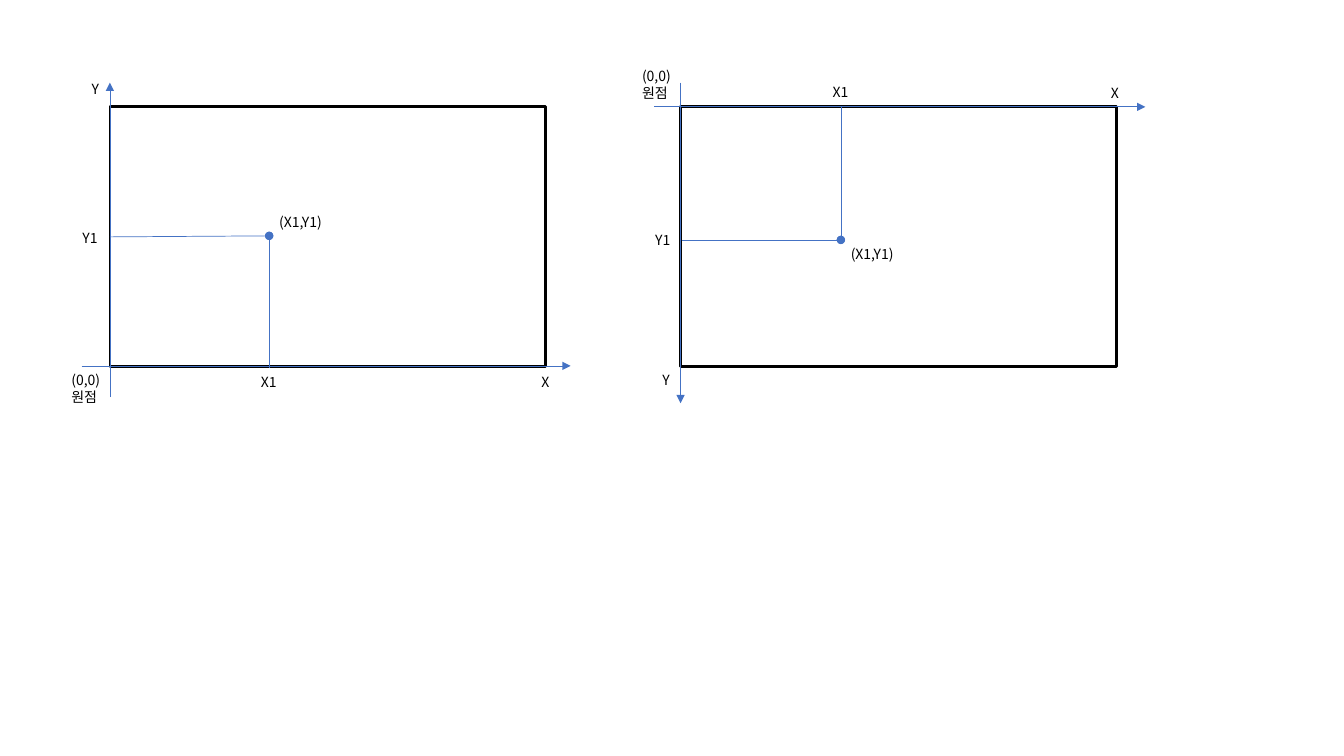
from dataclasses import dataclass

from pptx import Presentation
from pptx.dml.color import RGBColor
from pptx.enum import shapes, text
from pptx.oxml import ns, xmlchemy
from pptx.util import Inches, Pt

BLACK = RGBColor(0x00, 0x00, 0x00)
BLUE = RGBColor(0x44, 0x72, 0xC4)
FONT = "Noto Sans CJK KR"
FRAME_TOP, FRAME_WIDTH, FRAME_HEIGHT = 1.06, 4.32, 2.58
LABEL_HEIGHT = 0.27


@dataclass
class Line:
    x1: float
    y1: float
    x2: float
    y2: float
    tail: str = "triangle"
    from_frame: bool = False


@dataclass
class Label:
    lines: list[str]
    x: float
    y: float
    width: float
    height: float = LABEL_HEIGHT


@dataclass
class Diagram:
    left: float
    lines: list[Line]
    labels: list[Label]


ORIGIN = ["(0,0)", "원점"]

DIAGRAMS = [
    Diagram(
        1.09,
        [
            Line(0.81, 3.63, 5.66, 3.63),
            Line(1.09, 3.94, 1.09, 0.82),
            Line(2.67, 3.65, 2.67, 2.34, "oval"),
            Line(1.09, 2.35, 2.67, 2.34, "oval", True),
        ],
        [
            Label(["Y"], 0.81, 0.75, 0.28),
            Label(["X"], 5.27, 3.66, 0.29),
            Label(ORIGIN, 0.61, 3.64, 0.5, 0.44),
            Label(["(X1,Y1)"], 2.67, 2.07, 0.63),
            Label(["Y1"], 0.72, 2.23, 0.36),
            Label(["X1"], 2.49, 3.66, 0.36),
        ],
    ),
    Diagram(
        6.75,
        [
            Line(6.75, 0.82, 6.75, 4.0),
            Line(6.49, 1.06, 11.36, 1.06),
            Line(8.34, 2.38, 8.34, 1.05, ""),
            Line(6.76, 2.38, 8.34, 2.38, "oval"),
        ],
        [
            Label(ORIGIN, 6.27, 0.62, 0.5, 0.44),
            Label(["X"], 10.92, 0.79, 0.29),
            Label(["Y"], 6.47, 3.64, 0.28),
            Label(["(X1,Y1)"], 8.34, 2.39, 0.63),
            Label(["Y1"], 6.4, 2.25, 0.36),
            Label(["X1"], 8.16, 0.78, 0.36),
        ],
    ),
]


def add_frame(s, left: float):
    sp = s.shapes.add_shape(
        shapes.MSO_SHAPE.RECTANGLE,
        Inches(left), Inches(FRAME_TOP), Inches(FRAME_WIDTH), Inches(FRAME_HEIGHT),
    )
    sp.shadow.inherit = False
    sp.fill.background()
    sp.line.color.rgb = BLACK
    sp.line.width = Pt(2)
    return sp


def add_line(s, line: Line, frame) -> None:
    cxn = s.shapes.add_connector(
        shapes.MSO_CONNECTOR.STRAIGHT,
        Inches(line.x1), Inches(line.y1), Inches(line.x2), Inches(line.y2),
    )
    if line.from_frame:
        cxn.begin_connect(frame, 1)
    cxn.line.color.rgb = BLUE
    cxn.line.width = Pt(0.5)
    end = xmlchemy.OxmlElement("a:tailEnd" if line.tail else "a:headEnd")
    end.set("type", line.tail or "oval")
    sp_pr = cxn._element.spPr
    sp_pr.find(ns.qn("a:ln")).append(end)
    sp_pr.append(xmlchemy.OxmlElement("a:effectLst"))


def add_label(s, label: Label) -> None:
    sp = s.shapes.add_textbox(
        Inches(label.x), Inches(label.y), Inches(label.width), Inches(label.height)
    )
    tf = sp.text_frame
    tf.word_wrap = False
    tf.auto_size = text.MSO_AUTO_SIZE.SHAPE_TO_FIT_TEXT
    for i, words in enumerate(label.lines):
        p = tf.add_paragraph() if i else tf.paragraphs[0]
        r = p.add_run()
        r.text = words
        r.font.size = Pt(10)
        r.font.name = FONT
        r.font.color.rgb = BLACK
        ea = xmlchemy.OxmlElement("a:ea")
        ea.set("typeface", FONT)
        r.font._element.find(ns.qn("a:latin")).addnext(ea)


def add_diagram(s, diagram: Diagram) -> None:
    frame = add_frame(s, diagram.left)
    for line in diagram.lines:
        add_line(s, line, frame)
    for label in diagram.labels:
        add_label(s, label)


def main() -> None:
    prs = Presentation()
    prs.slide_width, prs.slide_height = Inches(13.33), Inches(7.5)
    s = prs.slides.add_slide(prs.slide_layouts[6])
    for diagram in DIAGRAMS:
        add_diagram(s, diagram)
    prs.save("out.pptx")


if __name__ == "__main__":
    main()
